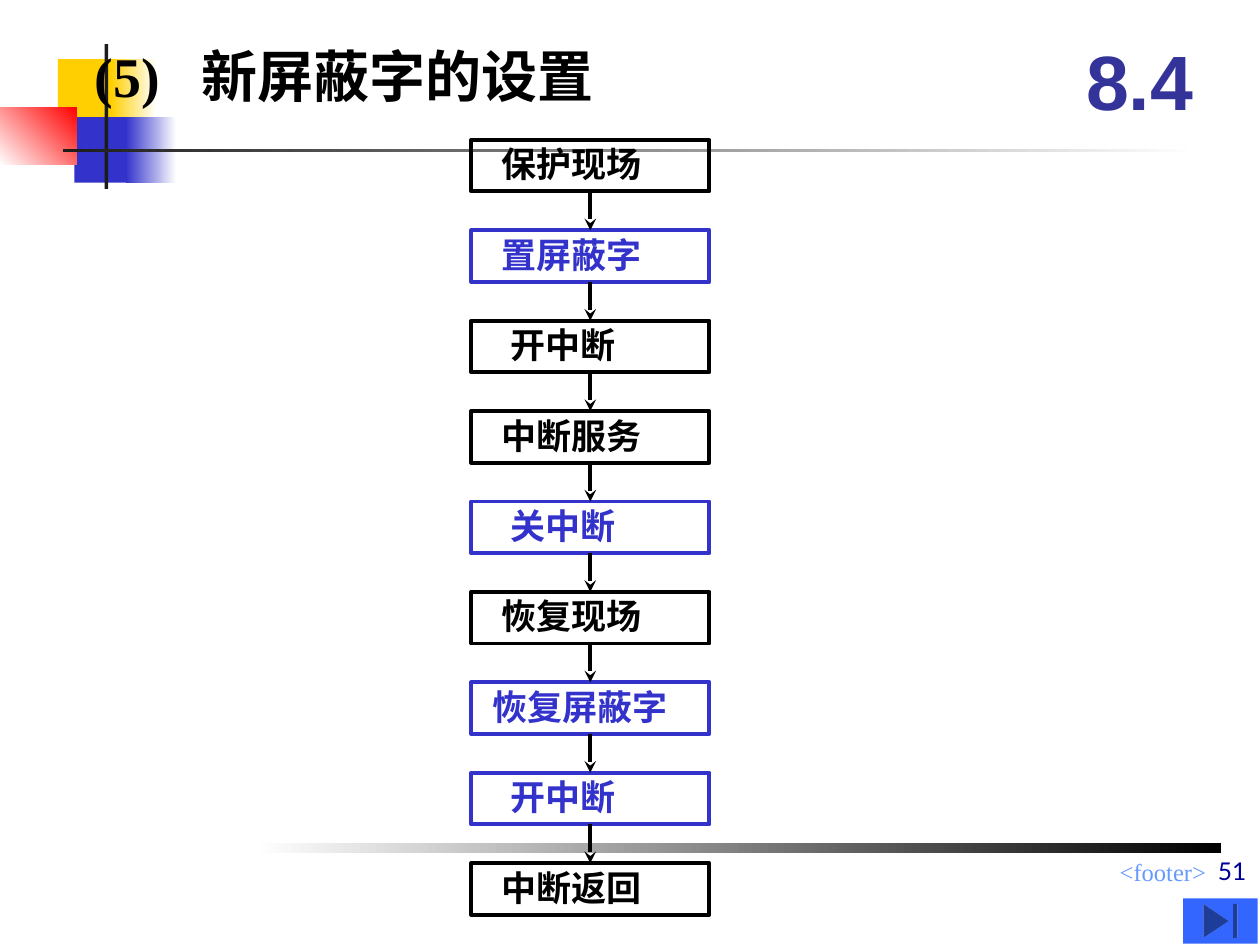
import pptx
import pptx.util
from pptx.dml.color import RGBColor
from pptx.enum.shapes import MSO_CONNECTOR, MSO_SHAPE
from pptx.enum.text import MSO_ANCHOR, PP_ALIGN
from pptx.oxml.ns import qn
from pptx.util import Inches
from lxml import etree

COLORS = {
    "yellow": "FFCF01", "blue": "3333CC", "red": "FF0000", "white": "FFFFFF",
    "dark": "1C1C1C", "black": "000000", "section": "333399",
    "footer": "6699FF", "number": "000099", "button": "3366FF",
}
CJK = "Noto Sans CJK SC"

# Label and colour of each step
STEPS = [
    ("保护现场", "black"), ("置屏蔽字", "blue"), ("开中断", "black"),
    ("中断服务", "black"), ("关中断", "blue"), ("恢复现场", "black"),
    ("恢复屏蔽字", "blue"), ("开中断", "blue"), ("中断返回", "black"),
]
STEP_LEFT, STEP_TOP, STEP_W, STEP_H = 3.74, 1.11, 1.89, 0.41
STEP_PITCH = 0.7175

# Position, start colour, end colour and angle of each decoration
DECOR = [
    ((0.46, 0.47, 0.48, 0.52), "yellow", None, 0),
    ((0.88, 0.47, 0.36, 0.52), "white", "yellow", 180),
    ((0.59, 0.93, 0.46, 0.52), "blue", None, 0),
    ((1, 0.93, 0.4, 0.52), "white", "blue", 180),
    ((0, 0.85, 0.61, 0.46), "red", "white", 225),
    ((0.83, 0.35, 0.03, 1.15), "dark", None, 0),
    ((0.5, 1.18, 9, 0.03), "white", "dark", 180),
    ((2.02, 6.69, 7.67, 0.08), "black", "white", 180),
]


def rgb(name):
    return RGBColor.from_string(COLORS[name])


def add_shape(s, kind, box):
    sp = s.shapes.add_shape(kind, *[Inches(v) for v in box])
    sp.shadow.inherit = False
    return sp


def add_decor(s, box, start, end, angle):
    sp = add_shape(s, MSO_SHAPE.RECTANGLE, box)
    sp.line.fill.background()
    if end is None:
        sp.fill.solid()
        sp.fill.fore_color.rgb = rgb(start)
        return
    sp.fill.gradient()
    sp.fill.gradient_angle = angle
    for stop, name in zip(sp.fill.gradient_stops, (start, end)):
        stop.color.rgb = rgb(name)


def format_text(p, size, font, color, bold=False):
    for r in p.runs:
        r.font.size = pptx.util.Pt(size)
        r.font.name = font
        r.font.bold = bold
        r.font.color.rgb = rgb(color)
        ea = etree.SubElement(r.font._element, qn("a:ea"))
        ea.set("typeface", CJK)


def add_text(s, box, text, size, font, color, bold=False,
             align=PP_ALIGN.LEFT, anchor=MSO_ANCHOR.TOP):
    sp = s.shapes.add_textbox(*[Inches(v) for v in box])
    tf = sp.text_frame
    tf.word_wrap = True
    tf.vertical_anchor = anchor
    tf.text = text
    p = tf.paragraphs[0]
    p.alignment = align
    format_text(p, size, font, color, bold)
    return sp


def add_title(s):
    sp = add_text(s, (0.75, 0.36, 7.8, 0.47), "(5)\t新屏蔽字的设置", 32,
                  "Times New Roman", "black", True, anchor=MSO_ANCHOR.MIDDLE)
    tf = sp.text_frame
    tf.word_wrap = False
    tf.margin_left = tf.margin_right = tf.margin_top = tf.margin_bottom = 0
    tabs = etree.SubElement(tf.paragraphs[0]._p.get_or_add_pPr(), qn("a:tabLst"))
    etree.SubElement(tabs, qn("a:tab"), pos=str(Inches(0.85)), algn="l")


def add_step(s, index, label, color):
    top = STEP_TOP + index * STEP_PITCH
    sp = add_shape(s, MSO_SHAPE.RECTANGLE, (STEP_LEFT, top, STEP_W, STEP_H))
    sp.fill.background()
    sp.line.color.rgb = rgb(color)
    sp.line.width = pptx.util.Pt(2.25)
    tf = sp.text_frame
    tf.word_wrap = True
    tf.vertical_anchor = MSO_ANCHOR.MIDDLE
    tf.margin_left = Inches(0.1 + 0.07 * (6 - len(label)))  # shorter labels start further in
    tf.margin_right = tf.margin_top = 0
    tf.margin_bottom = Inches(0.03)
    tf.text = label
    p = tf.paragraphs[0]
    p.alignment = PP_ALIGN.LEFT
    format_text(p, 20, CJK, color, True)
    return sp


def add_arrow(s, upper, lower):
    cx = s.shapes.add_connector(MSO_CONNECTOR.STRAIGHT, 0, 0, 0, 0)
    cx.begin_connect(upper, 2)
    cx.end_connect(lower, 0)
    cx.line.color.rgb = rgb("black")
    cx.line.width = pptx.util.Pt(2.25)
    etree.SubElement(cx.line._get_or_add_ln(), qn("a:tailEnd"), type="stealth")
    etree.SubElement(cx._element.spPr, qn("a:effectLst"))


def add_button(s):
    sp = add_shape(s, MSO_SHAPE.ACTION_BUTTON_END, (9.39, 7.13, 0.59, 0.36))
    sp.fill.solid()
    sp.fill.fore_color.rgb = rgb("button")
    sp.line.fill.background()


def main():
    prs = pptx.Presentation()
    prs.slide_width, prs.slide_height = Inches(10), Inches(7.5)
    s = prs.slides.add_slide(prs.slide_layouts[6])
    for decor in DECOR:
        add_decor(s, *decor)
    add_text(s, (3.92, 6.75, 5.75, 0.26), "<footer>", 14, "Times New Roman",
             "footer", align=PP_ALIGN.RIGHT)
    add_text(s, (8.42, 0.17, 1.25, 0.92), "8.4", 44, "Arial", "section", True,
             PP_ALIGN.CENTER, MSO_ANCHOR.MIDDLE)
    add_title(s)
    steps = [add_step(s, i, *step) for i, step in enumerate(STEPS)]
    for upper, lower in zip(steps, steps[1:]):
        add_arrow(s, upper, lower)
    add_button(s)
    add_text(s, (5.21, 6.58, 4.78, 0.5), "51", 14, "Lato", "number",
             align=PP_ALIGN.RIGHT, anchor=MSO_ANCHOR.BOTTOM)
    prs.save("out.pptx")


if __name__ == "__main__":
    main()
